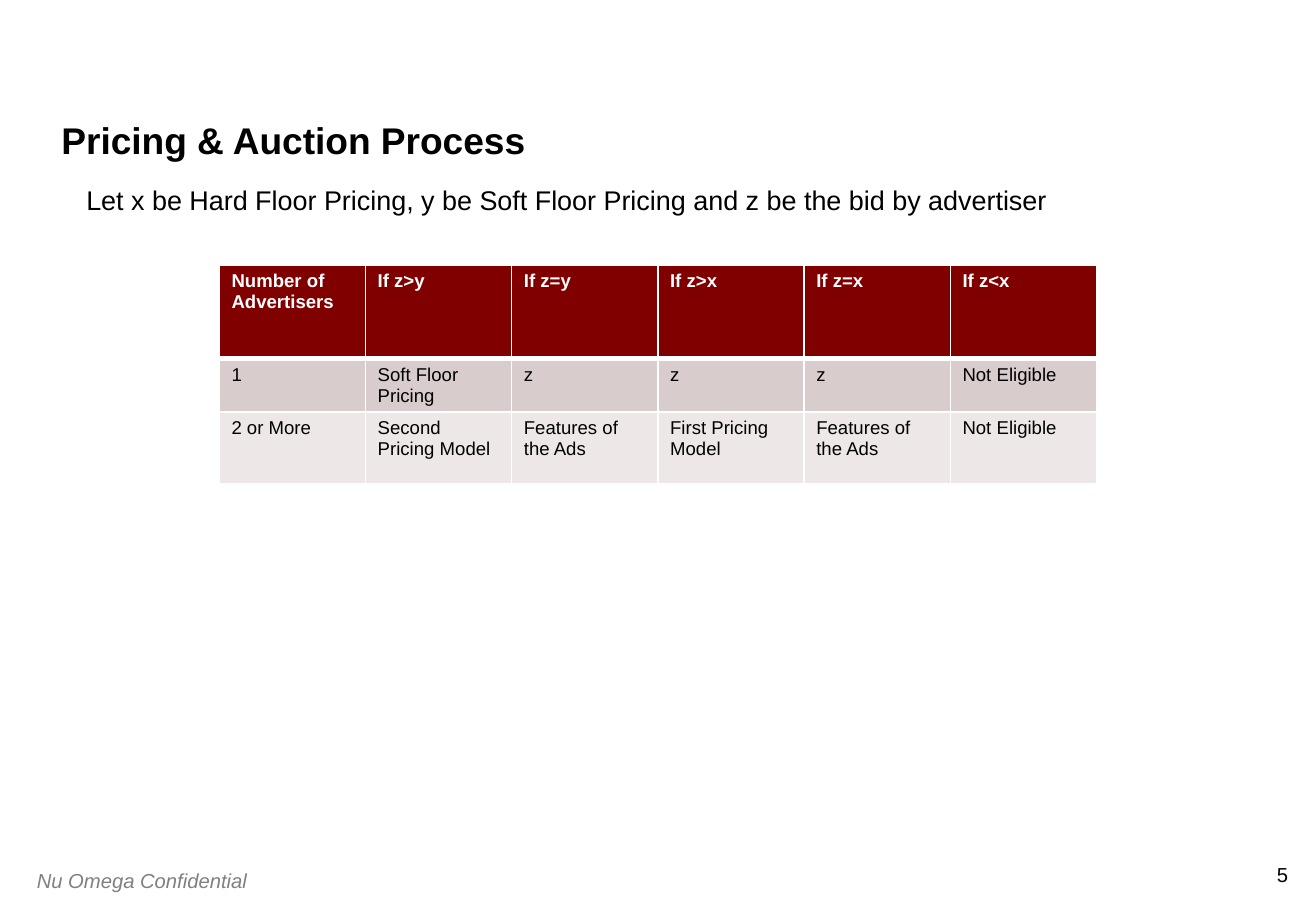
from typing import NamedTuple

from lxml import etree
from pptx import Presentation
from pptx.dml.color import RGBColor
from pptx.enum.text import MSO_ANCHOR, MSO_AUTO_SIZE, PP_ALIGN
from pptx.oxml.ns import qn
from pptx.util import Inches, Pt

LEFT, RIGHT = PP_ALIGN.LEFT, PP_ALIGN.RIGHT
TOP, BOTTOM = MSO_ANCHOR.TOP, MSO_ANCHOR.BOTTOM
NO_FIT = MSO_AUTO_SIZE.NONE

BLACK = RGBColor(0x00, 0x00, 0x00)
WHITE = RGBColor(0xFF, 0xFF, 0xFF)
GRAY = RGBColor(0x80, 0x80, 0x80)
MAROON = RGBColor(0x80, 0x00, 0x00)
ROSE = RGBColor(0xD8, 0xCC, 0xCC)
PALE = RGBColor(0xED, 0xE7, 0xE7)

# Slide grid: 9 columns by 25 rows
WIDTH, HEIGHT = Inches(10.83), Inches(7.5)
COL, ROW = WIDTH / 9, HEIGHT / 25


class Box(NamedTuple):
    """A place on the slide, in grid columns and rows."""
    x: float
    y: float
    w: float
    h: float

    def place(self) -> dict:
        return {"left": round(self.x * COL), "top": round(self.y * ROW),
                "width": round(self.w * COL), "height": round(self.h * ROW)}


class Look(NamedTuple):
    size: float
    color: RGBColor = BLACK
    bold: bool = False
    italic: bool = False
    align: int = LEFT


class Band(NamedTuple):
    """One table row: height in grid rows, fill, text look, bottom line, words."""
    high: float
    fill: RGBColor
    look: Look
    edge: float
    words: tuple


def apply(item, values: dict) -> None:
    for name, value in values.items():
        setattr(item, name, value)


def write(frame, text: str, look: Look, **extra) -> None:
    frame.text = text
    par = frame.paragraphs[0]
    apply(par, {"alignment": look.align, "space_before": Pt(0), **extra})
    font = par.runs[0].font
    apply(font, {"name": "Arial", "size": Pt(look.size),
                 "bold": look.bold, "italic": look.italic})
    font.color.rgb = look.color


def trim(frame, **extra) -> None:
    sides = ("left", "top", "right", "bottom")
    apply(frame, {f"margin_{side}": 0 for side in sides} | extra)


def rule(cell, edge: float) -> None:
    """Draw white lines round a cell; they must come before its fill."""
    props = cell._tc.get_or_add_tcPr()
    for spot, (side, width) in enumerate(zip("LRTB", (1, 1, 1, edge))):
        line = etree.Element(qn(f"a:ln{side}"), w=str(Pt(width)))
        fill = etree.SubElement(line, qn("a:solidFill"))
        etree.SubElement(fill, qn("a:srgbClr"), val=str(WHITE))
        props.insert(spot, line)


deck = Presentation()
apply(deck, {"slide_width": WIDTH, "slide_height": HEIGHT})
slide = deck.slides.add_slide(deck.slide_layouts[1])

# Title
title = slide.shapes.title
apply(title, Box(0.42, 1.4, 8.17, 3.07).place())
trim(title.text_frame, vertical_anchor=BOTTOM, auto_size=NO_FIT)
write(title.text_frame, "Pricing & Auction Process",
      Look(22, bold=True), line_spacing=0.9)

# Definitions, without a bullet
body = slide.placeholders[1]
apply(body, Box(0.59, 5.03, 7.96, 15.27).place())
trim(body.text_frame, vertical_anchor=TOP, auto_size=NO_FIT)
write(body.text_frame,
      "Let x be Hard Floor Pricing, y be Soft Floor Pricing "
      "and z be the bid by advertiser", Look(16))
props = body.text_frame.paragraphs[0]._p.get_or_add_pPr()
for key in ("marL", "indent"):
    props.set(key, "0")
etree.SubElement(props, qn("a:buNone"))

# Pricing table
HEAD, CELL = Look(11, WHITE, bold=True), Look(11)
BANDS = (
    Band(2.57, MAROON, HEAD, 3, ("Number of Advertisers", "If z>y", "If z=y",
                                 "If z>x", "If z=x", "If z<x")),
    Band(1.4, ROSE, CELL, 1, ("1", "Soft Floor Pricing", "z", "z", "z",
                              "Not Eligible")),
    Band(1.97, PALE, CELL, 1, ("2 or More", "Second Pricing Model",
                               "Features of the Ads", "First Pricing Model",
                               "Features of the Ads", "Not Eligible")),
)
count = len(HEADS := BANDS[0].words)
area = Box(1.5, 7.27, count, sum(band.high for band in BANDS))
table = slide.shapes.add_table(len(BANDS), len(HEADS), **area.place()).table
for r, band in enumerate(BANDS):
    table.rows[r].height = round(band.high * ROW)
    for c, text in enumerate(band.words):
        cell = table.cell(r, c)
        cell.fill.solid()
        cell.fill.fore_color.rgb = band.fill
        write(cell.text_frame, text, band.look)
        rule(cell, band.edge)
        if r:
            top = cell._tc.tcPr.find(qn("a:lnT"))
            top.set("w", str(Pt(BANDS[r - 1].edge)))

# Footer and page number
foot = slide.shapes.add_textbox(**Box(0.17, 23.67, 1.66, 1).place())
foot.text_frame.word_wrap = True
write(foot.text_frame, "Nu Omega Confidential", Look(12, GRAY, italic=True),
      space_before=Pt(1.2))
page = slide.shapes.add_textbox(**Box(8.64, 23.67, 0.17, 0.67).place())
trim(page.text_frame, word_wrap=False)
write(page.text_frame, "5", Look(12, align=RIGHT))

deck.save("out.pptx")
